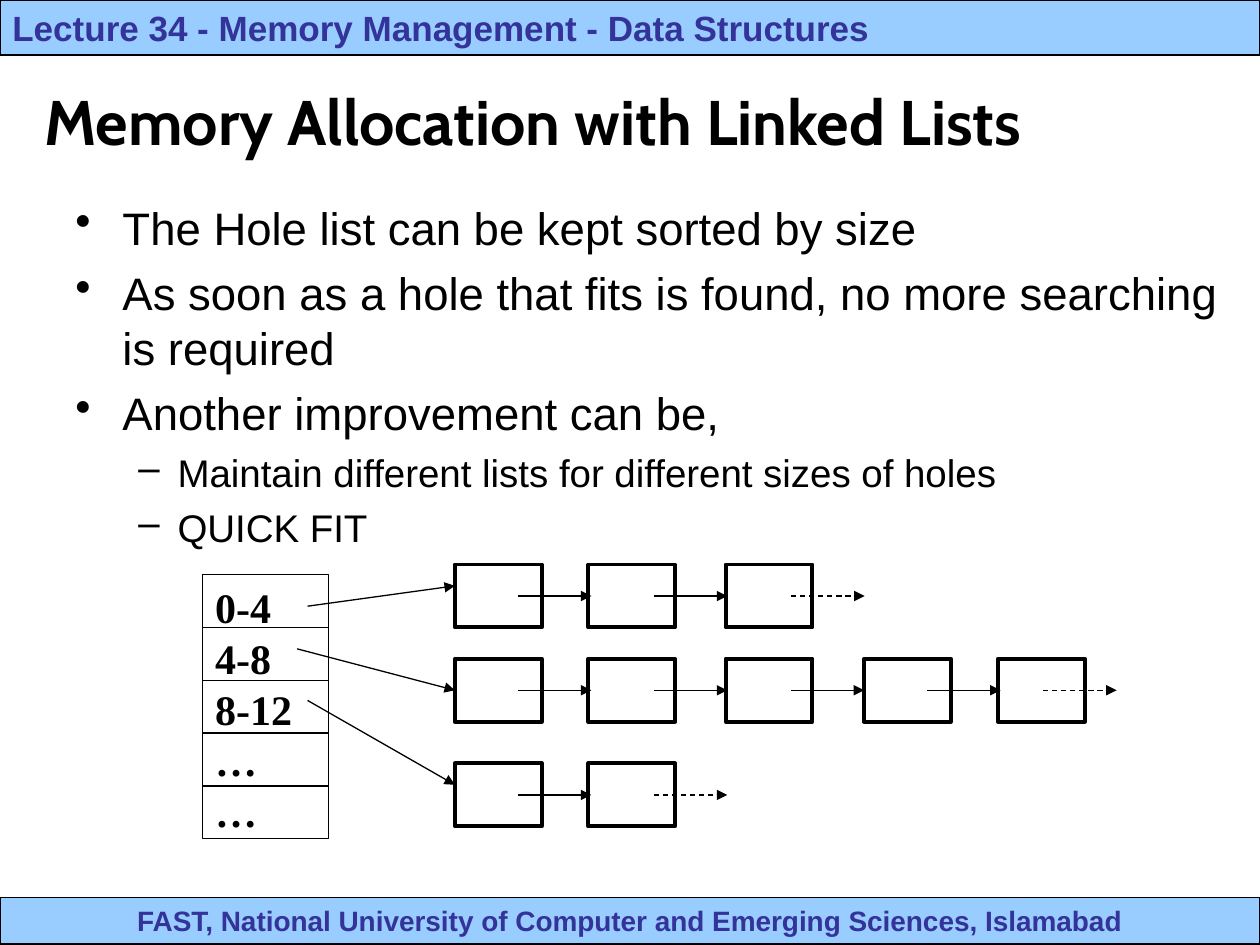
from dataclasses import dataclass

from lxml import etree
from pptx import Presentation
from pptx import util as u
from pptx.dml.color import RGBColor
from pptx.enum import dml, shapes, text
from pptx.oxml.ns import qn

COLORS = {"band": "99CCFF", "heading": "333399", "ink": "000000"}
BOX_LEFTS = (9.17, 11.86, 14.63, 17.42, 20.12)
LINK_LEFTS = (10.44, 13.18, 15.95, 18.69, 21.03)
BOX_WIDTH, BOX_HEIGHT, LINK_LENGTH = 1.75, 1.27, 1.48
TABLE_LEFT, TABLE_TOP, TABLE_WIDTH, TABLE_HEIGHT = 4.09, 11.58, 2.54, 5.33
SIZE_CLASSES = ("0-4", "4-8", "8-12", "…", "…")


@dataclass
class Style:
    size: float
    font: str = "Arial"
    color: str = "ink"
    bold: bool = True
    align: text.PP_ALIGN = text.PP_ALIGN.LEFT
    line_spacing: float | None = None


@dataclass
class Bullet:
    words: str
    level: int = 0


@dataclass
class HoleList:
    top: float
    count: int
    pointer_start: tuple[float, float]
    pointer_end_y: float

    @property
    def middle(self) -> float:
        return self.top + BOX_HEIGHT / 2


BULLETS = (
    Bullet("The Hole list can be kept sorted by size"),
    Bullet("As soon as a hole that fits is found, no more searching is required"),
    Bullet("Another improvement can be,"),
    Bullet("Maintain different lists for different sizes of holes", 1),
    Bullet("QUICK FIT", 1),
)
HOLE_LISTS = (
    HoleList(11.38, 3, (6.2, 12.22), 11.81),
    HoleList(13.28, 5, (5.99, 13.08), 13.92),
    HoleList(15.39, 2, (6.2, 14.12), 15.82),
)


def color(name: str) -> RGBColor:
    return RGBColor.from_string(COLORS[name])


def style_paragraph(paragraph, words: str, style: Style) -> None:
    paragraph.text = words
    paragraph.alignment = style.align
    font = paragraph.font
    font.name, font.size, font.bold = style.font, u.Pt(style.size), style.bold
    font.color.rgb = color(style.color)
    if style.line_spacing:
        paragraph.line_spacing = u.Pt(style.line_spacing)


def write(shape, lines: tuple[str, ...], style: Style,
          anchor=text.MSO_ANCHOR.TOP) -> None:
    frame = shape.text_frame
    frame.word_wrap = True
    frame.vertical_anchor = anchor
    for index, words in enumerate(lines):
        paragraph = frame.add_paragraph() if index else frame.paragraphs[0]
        style_paragraph(paragraph, words, style)


def add_rectangle(slide, left: float, top: float, width: float, height: float,
                  weight: float = 0.75, fill: str | None = None):
    shape = slide.shapes.add_shape(shapes.MSO_SHAPE.RECTANGLE, u.Cm(left), u.Cm(top),
                                   u.Cm(width), u.Cm(height))
    shape.shadow.inherit = False
    shape.line.color.rgb = color("ink")
    shape.line.width = u.Pt(weight)
    if fill:
        shape.fill.solid()
        shape.fill.fore_color.rgb = color(fill)
    else:
        shape.fill.background()
    return shape


def add_line(slide, start: tuple[float, float], end: tuple[float, float],
             arrow: bool = False, dashed: bool = False):
    line = slide.shapes.add_connector(shapes.MSO_CONNECTOR.STRAIGHT,
                                      *(u.Cm(value) for value in (*start, *end)))
    line.line.color.rgb = color("ink")
    line.line.width = u.Pt(0.75)
    if dashed:
        line.line.dash_style = dml.MSO_LINE.DASH
    properties = line._element.spPr
    if arrow:
        etree.SubElement(properties.find(qn("a:ln")), qn("a:tailEnd"), type="triangle")
    etree.SubElement(properties, qn("a:effectLst"))
    return line


def add_bullets(slide) -> None:
    box = slide.shapes.add_textbox(u.Cm(1.27), u.Cm(3.91), u.Cm(24.13), u.Cm(12.57))
    frame = box.text_frame
    frame.word_wrap = True
    levels = (
        (Style(26, bold=False, line_spacing=31), "•", 6.5, 0.95, -0.95),
        (Style(22, bold=False, line_spacing=26), "–", 5.5, 2.06, -0.79),
    )
    for index, bullet in enumerate(BULLETS):
        paragraph = frame.add_paragraph() if index else frame.paragraphs[0]
        style, mark, space, margin, indent = levels[bullet.level]
        style_paragraph(paragraph, bullet.words, style)
        paragraph.level = bullet.level
        paragraph.space_before = u.Pt(space)
        properties = paragraph._p.get_or_add_pPr()
        properties.set("marL", str(u.Cm(margin)))
        properties.set("indent", str(u.Cm(indent)))
        mark_element = etree.Element(qn("a:buChar"), char=mark)
        properties.find(qn("a:defRPr")).addprevious(mark_element)


def add_size_table(slide) -> None:
    table = add_rectangle(slide, TABLE_LEFT, TABLE_TOP, TABLE_WIDTH, TABLE_HEIGHT)
    write(table, SIZE_CLASSES, Style(24, "Times New Roman", line_spacing=29.2))
    for row in range(1, len(SIZE_CLASSES)):
        y = TABLE_TOP + row * TABLE_HEIGHT / len(SIZE_CLASSES)
        add_line(slide, (TABLE_LEFT, y), (TABLE_LEFT + TABLE_WIDTH, y))


def add_hole_list(slide, holes: HoleList) -> None:
    boxes = [add_rectangle(slide, left, holes.top, BOX_WIDTH, BOX_HEIGHT, 2.25)
             for left in BOX_LEFTS[:holes.count]]
    for index, left in enumerate(LINK_LEFTS[:holes.count]):
        end = left + LINK_LENGTH
        last = index == holes.count - 1
        link = add_line(slide, (left, holes.middle), (end, holes.middle), True, last)
        if not last and abs(end - BOX_LEFTS[index + 1]) < 0.02:
            link.end_connect(boxes[index + 1], 1)
    pointer = add_line(slide, holes.pointer_start, (BOX_LEFTS[0], holes.pointer_end_y), True)
    if abs(holes.pointer_end_y - holes.middle) < 0.02:
        pointer.end_connect(boxes[0], 1)


def main() -> None:
    presentation = Presentation()
    presentation.slide_width, presentation.slide_height = u.Cm(25.4), u.Cm(19.05)
    slide = presentation.slides.add_slide(presentation.slide_layouts[6])
    footer = add_rectangle(slide, 0, 18.09, 25.4, 0.94, fill="band")
    write(footer, ("FAST, National University of Computer and Emerging Sciences, Islamabad",),
          Style(16, color="heading", align=text.PP_ALIGN.CENTER))
    header = add_rectangle(slide, 0, 0, 25.4, 1.11, fill="band")
    write(header, ("Lecture 34 - Memory Management - Data Structures",),
          Style(20, color="heading"))
    title = slide.shapes.add_textbox(u.Cm(0.64), u.Cm(1.47), u.Cm(22.86), u.Cm(1.91))
    write(title, ("Memory Allocation with Linked Lists",), Style(36, "Cabin"),
          text.MSO_ANCHOR.MIDDLE)
    add_bullets(slide)
    add_size_table(slide)
    for holes in HOLE_LISTS:
        add_hole_list(slide, holes)
    presentation.save("out.pptx")


if __name__ == "__main__":
    main()
